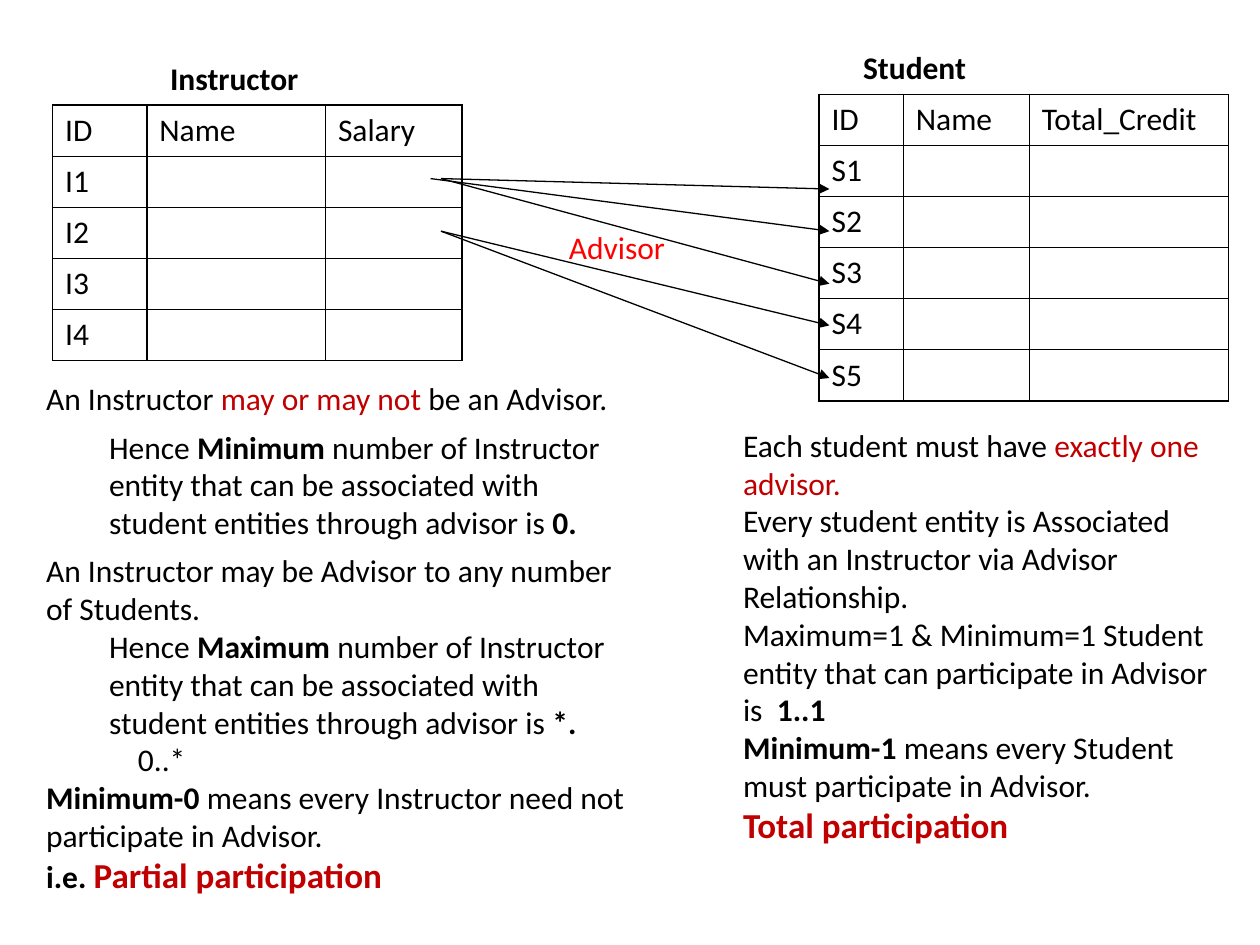
from dataclasses import dataclass

from lxml.etree import SubElement
from pptx import Presentation
from pptx.dml.color import RGBColor
from pptx.enum.shapes import MSO_CONNECTOR
from pptx.enum.text import MSO_AUTO_SIZE
from pptx.oxml.ns import qn
from pptx.util import Cm, Pt

HUES = {"black": "000000", "red": "FF0000", "dark": "C00000"}
FONT = "Calibri"
ROW = 1.03


@dataclass
class Run:
    text: str
    bold: bool = False
    hue: str = "black"
    size: int = 18


@dataclass
class Para:
    runs: list[Run]
    left: float = 0
    after: int = 0


@dataclass
class Box:
    left: float
    top: float
    width: float
    height: float
    paras: list[Para]
    wrap: bool = True


@dataclass
class Grid:
    left: float
    top: float
    cols: list[float]
    heads: list[str]
    keys: list[str]


@dataclass
class Link:
    left: float
    top: float
    right: float
    end: float


def add_run(para, run: Run) -> None:
    item = para.add_run()
    item.text = run.text
    item.font.name = FONT
    item.font.size = Pt(run.size)
    item.font.bold = run.bold
    item.font.color.rgb = RGBColor.from_string(HUES[run.hue])


def add_box(slide, box: Box) -> None:
    shape = slide.shapes.add_textbox(Cm(box.left), Cm(box.top), Cm(box.width), Cm(box.height))
    frame = shape.text_frame
    frame.word_wrap = box.wrap
    frame.auto_size = MSO_AUTO_SIZE.SHAPE_TO_FIT_TEXT
    for spot, part in enumerate(box.paras):
        para = frame.add_paragraph() if spot else frame.paragraphs[0]
        para.space_after = Pt(part.after)
        if part.left:
            props = para._p.get_or_add_pPr()
            props.set("marL", str(Cm(part.left)))
            props.set("indent", "0")
        for run in part.runs:
            add_run(para, run)


def add_edge(cell) -> None:
    props = cell._tc.get_or_add_tcPr()
    for side in ("lnL", "lnR", "lnT", "lnB"):
        line = SubElement(props, qn(f"a:{side}"), w=str(Pt(1)))
        fill = SubElement(line, qn("a:solidFill"))
        SubElement(fill, qn("a:srgbClr"), val=HUES["black"])
    cell.fill.background()


def add_grid(slide, grid: Grid) -> None:
    rows = [grid.heads] + [[key, "", ""] for key in grid.keys]
    table = slide.shapes.add_table(
        len(rows), len(grid.cols), Cm(grid.left), Cm(grid.top),
        Cm(sum(grid.cols)), Cm(ROW * len(rows)),
    ).table
    table.first_row = False
    table.horz_banding = False
    for col, width in zip(table.columns, grid.cols):
        col.width = Cm(width)
    for row, words in zip(table.rows, rows):
        row.height = Cm(ROW)
        for cell, word in zip(row.cells, words):
            add_edge(cell)
            if word:
                add_run(cell.text_frame.paragraphs[0], Run(word))


def add_link(slide, link: Link) -> None:
    wire = slide.shapes.add_connector(
        MSO_CONNECTOR.STRAIGHT, Cm(link.left), Cm(link.top), Cm(link.right), Cm(link.end)
    )
    wire.line.width = Pt(0.75)
    wire.line.color.rgb = RGBColor.from_string(HUES["black"])
    SubElement(wire.line._get_or_add_ln(), qn("a:tailEnd"), type="triangle")
    SubElement(wire._element.spPr, qn("a:effectLst"))


def hence(bound: str, mark: str, after: int = 0) -> Para:
    return Para([
        Run("Hence "),
        Run(bound, True),
        Run(" number of Instructor entity that can be associated with student entities through advisor is "),
        Run(mark, True),
    ], 1.27, after)


GRIDS = [
    Grid(1.06, 2.12, [1.9, 3.6, 2.75], ["ID", "Name", "Salary"],
         [f"I{num}" for num in range(1, 5)]),
    Grid(16.51, 1.9, [1.7, 2.54, 4.02], ["ID", "Name", "Total_Credit"],
         [f"S{num}" for num in range(1, 6)]),
]

LINKS = [
    Link(left, top, 16.72, end)
    for left, top, end in (
        (8.89, 3.6, 3.81),
        (8.68, 3.6, 4.66),
        (8.89, 3.6, 5.72),
        (8.89, 4.66, 6.56),
        (8.89, 4.66, 7.62),
    )
]

BOXES = [
    Box(3.18, 1.06, 3.12, 1.02, [Para([Run("Instructor", True)])], False),
    Box(17.15, 0.84, 2.62, 1.02, [Para([Run("Student", True)])], False),
    Box(11.22, 4.47, 2.46, 1.02, [Para([Run("Advisor", hue="red")])], False),
    Box(14.73, 8.46, 10.06, 8.81, [
        Para([Run("Each student must have "), Run("exactly one advisor.", hue="dark")]),
        Para([Run("Every student entity is Associated with an Instructor via Advisor Relationship.")]),
        Para([
            Run("Maximum=1 & Minimum=1 Student entity that can participate in Advisor is  "),
            Run("1..1", True),
        ]),
        Para([Run("Minimum-1", True), Run(" means every Student must participate in Advisor.")]),
        Para([Run("Total participation", True, "dark", 20)]),
    ]),
    Box(0.68, 7.52, 12.22, 10.69, [
        Para([
            Run("An Instructor "),
            Run("may or may not ", hue="dark"),
            Run("be an Advisor."),
        ], after=6),
        hence("Minimum", "0.", 6),
        Para([Run("An Instructor may be Advisor to any number of Students.")]),
        hence("Maximum", "*."),
        Para([Run("0..*")], 1.85),
        Para([Run("Minimum-0", True), Run(" means every Instructor need not participate in Advisor.")]),
        Para([Run("i.e. ", True), Run("Partial participation", True, "dark", 20)]),
    ]),
]


def main() -> None:
    deck = Presentation()
    deck.slide_width = Cm(25.4)
    deck.slide_height = Cm(19.05)
    slide = deck.slides.add_slide(deck.slide_layouts[6])
    for grid in GRIDS:
        add_grid(slide, grid)
    for link in LINKS:
        add_link(slide, link)
    for box in BOXES:
        add_box(slide, box)
    deck.save("out.pptx")


if __name__ == "__main__":
    main()
